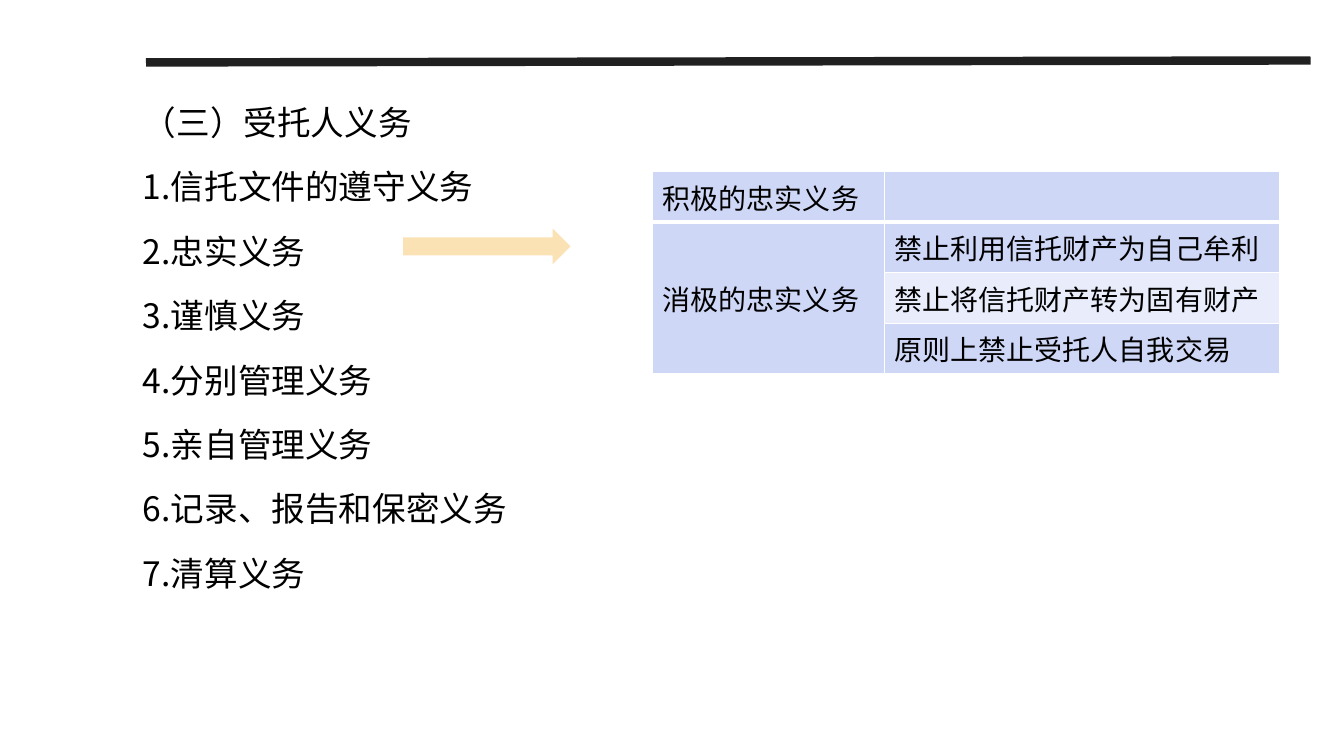
from lxml import etree
from pptx import Presentation
from pptx.dml.color import RGBColor
from pptx.enum import shapes, text
from pptx.oxml import ns
from pptx.util import Pt

# Content
HEADING = "（三）受托人义务"
DUTIES = ["信托文件的遵守义务", "忠实义务", "谨慎义务", "分别管理义务",
          "亲自管理义务", "记录、报告和保密义务", "清算义务"]
LOYALTY = [
    ("积极的忠实义务", ""),
    ("消极的忠实义务", "禁止利用信托财产为自己牟利"),
    ("", "禁止将信托财产转为固有财产"),
    ("", "原则上禁止受托人自我交易"),
]

# Style
FONT = "Noto Sans CJK SC"
BLACK, RULE, WHITE = "000000", "202020", "FFFFFF"
BAND, LIGHT_BAND, SAND = "CFD7F7", "E9ECFB", "FAE2B5"
COLUMNS, ROW = (165.6, 282.2), 36.1


def color(hex_code):
    return RGBColor.from_string(hex_code)


def write(paragraph, words, size=20, before=0, spacing=None):
    paragraph.space_before = Pt(before)
    paragraph.line_spacing = spacing
    run = paragraph.add_run()
    run.text = words
    run.font.size = Pt(size)
    run.font.name = FONT
    run.font.color.rgb = color(BLACK)
    east_asian = etree.SubElement(run.font._element, ns.qn("a:ea"))
    east_asian.set("typeface", FONT)


def set_borders(cell, bottom):
    properties = cell._tc.get_or_add_tcPr()
    widths = {"lnL": 1, "lnR": 1, "lnT": 1, "lnB": bottom}
    for position, (side, width) in enumerate(widths.items()):
        border = etree.Element(ns.qn("a:" + side), w=str(Pt(width)))
        fill = etree.SubElement(border, ns.qn("a:solidFill"))
        etree.SubElement(fill, ns.qn("a:srgbClr"), val=WHITE)
        properties.insert(position, border)


deck = Presentation()
deck.slide_width, deck.slide_height = Pt(960), Pt(540)
slide = deck.slides.add_slide(deck.slide_layouts[6])

# Top rule with square ends
rule = slide.shapes.add_connector(
    shapes.MSO_CONNECTOR.STRAIGHT, Pt(107.3), Pt(44.6), Pt(933.1), Pt(43.2))
rule.line.color.rgb = color(RULE)
rule.line.width = Pt(6)
rule._element.spPr.find(ns.qn("a:ln")).set("cap", "sq")
etree.SubElement(rule._element.spPr, ns.qn("a:effectLst"))

# Duties list
duties = slide.shapes.add_textbox(Pt(95), Pt(62), Pt(827.3), Pt(350)).text_frame
duties.word_wrap = True
lines = [HEADING] + [f"{n}.{duty}" for n, duty in enumerate(DUTIES, 1)]
for index, line in enumerate(lines):
    paragraph = duties.add_paragraph() if index else duties.paragraphs[0]
    write(paragraph, line, size=24, before=10 if index else 0, spacing=1.25)

# Loyalty table
loyalty = slide.shapes.add_table(
    len(LOYALTY), len(COLUMNS), Pt(466.2), Pt(122.6),
    Pt(sum(COLUMNS)), Pt(ROW * len(LOYALTY))).table
for column, width in zip(loyalty.columns, COLUMNS):
    column.width = Pt(width)
for r, row in enumerate(LOYALTY):
    loyalty.rows[r].height = Pt(ROW)
    for c, words in enumerate(row):
        cell = loyalty.cell(r, c)
        cell.fill.solid()
        cell.fill.fore_color.rgb = color(LIGHT_BAND if (r, c) == (2, 1) else BAND)
        set_borders(cell, bottom=1 if r else 3)
        if words:
            write(cell.text_frame.paragraphs[0], words)
passive = loyalty.cell(1, 0)
passive.merge(loyalty.cell(3, 0))
passive.vertical_anchor = text.MSO_ANCHOR.MIDDLE

# Arrow from the duty of loyalty to its table
arrow = slide.shapes.add_shape(
    shapes.MSO_SHAPE.RIGHT_ARROW, Pt(287.3), Pt(162), Pt(121), Pt(28))
arrow.shadow.inherit = False
arrow.fill.solid()
arrow.fill.fore_color.rgb = color(SAND)
arrow.line.color.rgb = color(WHITE)
arrow.line.width = Pt(1)

deck.save("out.pptx")
